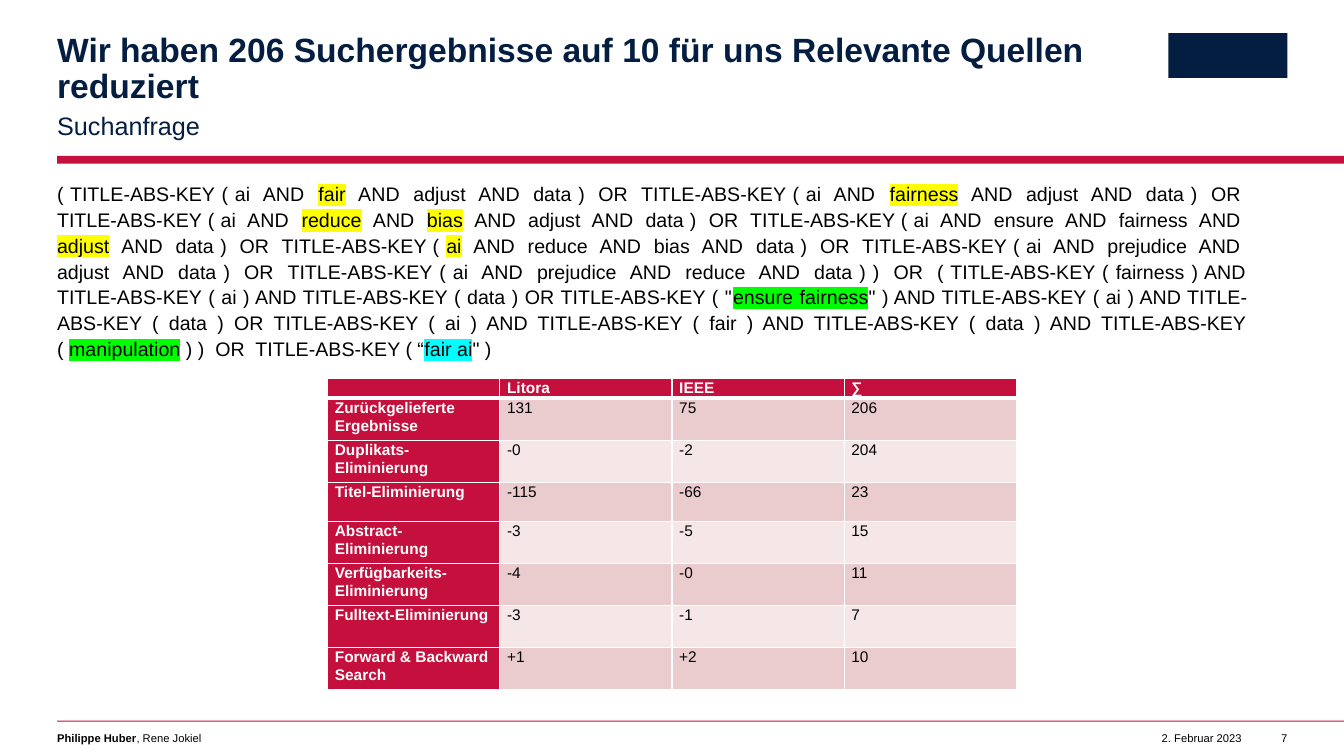
from lxml import etree
from pptx import Presentation
from pptx.dml.color import RGBColor
from pptx.enum import shapes, text
from pptx.oxml import ns
from pptx.util import Pt

RED, NAVY, BLACK, WHITE = "C50F3C", "041E42", "000000", "FFFFFF"
LIME, AQUA, GOLD = "00FF00", "00FFFF", "FFFF00"
BANDS = ["EACCCE", "F5E7E8"]
LEFT, RIGHT, WIDE = 40.8, 919.5, 754

QUERY = [
    ("( TITLE-ABS-KEY ( ai  AND  ", None),
    ("fair", GOLD),
    ("  AND  adjust  AND  data )  OR  TITLE-ABS-KEY ( ai  AND  ", None),
    ("fairness", GOLD),
    ("  AND  adjust  AND  data )  OR  TITLE-ABS-KEY ( ai  AND  ", None),
    ("reduce", GOLD),
    ("  AND  ", None),
    ("bias", GOLD),
    ("  AND  adjust  AND  data )  OR  TITLE-ABS-KEY ( ai  AND  ensure  AND  fairness  AND  ", None),
    ("adjust", GOLD),
    ("  AND  data )  OR  TITLE-ABS-KEY ( ", None),
    ("ai", GOLD),
    ("  AND  reduce  AND  bias  AND  data )  OR  TITLE-ABS-KEY ( ai  AND  prejudice  AND  "
     "adjust  AND  data )  OR  TITLE-ABS-KEY ( ai  AND  prejudice  AND  reduce  AND  data ) )  "
     "OR  ( TITLE-ABS-KEY ( fairness ) AND TITLE-ABS-KEY ( ai ) AND TITLE-ABS-KEY ( data ) "
     "OR TITLE-ABS-KEY ( \"", None),
    ("ensure fairness", LIME),
    ("\" ) AND TITLE-ABS-KEY ( ai ) AND TITLE-ABS-KEY ( data ) OR TITLE-ABS-KEY ( ai ) AND "
     "TITLE-ABS-KEY ( fair ) AND TITLE-ABS-KEY ( data ) AND TITLE-ABS-KEY ( ", None),
    ("manipulation", LIME),
    (" ) )  OR  TITLE-ABS-KEY ( “", None),
    ("fair ai", AQUA),
    ("\" )", None),
]

COUNTS = [
    ("", "Litora", "IEEE", "∑"),
    ("Zurückgelieferte Ergebnisse", "131", "75", "206"),
    ("Duplikats-Eliminierung", "-0", "-2", "204"),
    ("Titel-Eliminierung", "-115", "-66", "23"),
    ("Abstract-Eliminierung", "-3", "-5", "15"),
    ("Verfügbarkeits-Eliminierung", "-4", "-0", "11"),
    ("Fulltext-Eliminierung", "-3", "-1", "7"),
    ("Forward & Backward Search", "+1", "+2", "10"),
]
ROWS = [14.4, 30, 30, 28] + [30] * 4


def color(code):
    return RGBColor.from_string(code)


def style(para, size, code, bold=None):
    font = para.font
    font.name, font.size, font.bold = "Arial", Pt(size), bold
    font.color.rgb = color(code)


def label(slide, words, box, size, code=BLACK, bold=None, inset=0, middle=False):
    frame = slide.shapes.add_textbox(*map(Pt, box)).text_frame
    frame.word_wrap = True
    frame.margin_left = frame.margin_top = frame.margin_bottom = 0
    frame.margin_right = Pt(inset)
    if middle:
        frame.vertical_anchor = text.MSO_ANCHOR.MIDDLE
    para = frame.paragraphs[0]
    style(para, size, code, bold)
    if words:
        para.add_run().text = words
    return para


def bar(slide, box, code):
    shape = slide.shapes.add_shape(shapes.MSO_SHAPE.RECTANGLE, *map(Pt, box))
    shape.shadow.inherit = False
    shape.fill.solid()
    shape.fill.fore_color.rgb = color(code)
    shape.line.fill.background()


def mark(run, code):
    tag = etree.SubElement(run.font._element, ns.qn("a:highlight"))
    etree.SubElement(tag, ns.qn("a:srgbClr"), val=code)


def header(slide, left, top):
    title = label(slide, "Wir haben 206 Suchergebnisse auf 10 für uns Relevante Quellen reduziert",
                  (left, top, WIDE, 52.5), 24, NAVY, True, middle=True)
    title.line_spacing = 0.9
    sub = label(slide, "Suchanfrage", (left, top + 54, WIDE, 22.3), 18, NAVY,
                inset=28, middle=True)
    sub.line_spacing = 1.1
    bar(slide, (RIGHT - 85, top, 85, 32), NAVY)
    bar(slide, (left, top + 87.7, 960 - left, 5.6), RED)


def query(slide, box):
    para = label(slide, "", box, 14, inset=28)
    para.alignment = text.PP_ALIGN.JUSTIFY
    para.line_spacing = 1.1
    for words, code in QUERY:
        run = para.add_run()
        run.text = words
        if code:
            mark(run, code)


def border(cell, sides):
    props = cell._tc.get_or_add_tcPr()
    for side, width in sides.items():
        line = etree.SubElement(props, ns.qn("a:ln" + side), w=str(Pt(width)))
        fill = etree.SubElement(line, ns.qn("a:solidFill"))
        etree.SubElement(fill, ns.qn("a:srgbClr"), val=WHITE)


def counts(slide, left, top, width):
    size = len(COUNTS), len(COUNTS[0])
    table = slide.shapes.add_table(*size, Pt(left), Pt(top), Pt(width), Pt(sum(ROWS))).table
    for col in table.columns:
        col.width = Pt(width / size[1])
    for i, row in enumerate(COUNTS):
        table.rows[i].height = Pt(ROWS[i])
        for j, words in enumerate(row):
            cell = table.cell(i, j)
            head = i == 0 or j == 0
            border(cell, {"L": 1, "R": 1, "T": 3 if i == 1 else 1, "B": 3 if i == 0 else 1})
            cell.fill.solid()
            cell.fill.fore_color.rgb = color(RED if head else BANDS[(i - 1) % 2])
            cell.margin_left = cell.margin_right = Pt(5.2)
            cell.margin_top = cell.margin_bottom = 0
            para = cell.text_frame.paragraphs[0]
            para.line_spacing = 1.07
            style(para, 11, WHITE if head else BLACK, head)
            if words:
                para.add_run().text = words
            else:
                etree.SubElement(para._p, ns.qn("a:endParaRPr"), sz="1100")


def footer(slide, left, top):
    bar(slide, (left, top, 960 - left, 0.75), RED)
    line = top + 7.6
    names = label(slide, "Philippe Huber", (left, line, WIDE, 9.4), 8)
    names.runs[0].font.bold = True
    names.add_run().text = ", Rene Jokiel"
    for words, end, width in [("2. Februar 2023", 887, 67), ("7", RIGHT, 15)]:
        para = label(slide, words, (end - width, line, width, 9.4), 8)
        para.alignment = text.PP_ALIGN.RIGHT


def main():
    deck = Presentation()
    deck.slide_width, deck.slide_height = Pt(960), Pt(540)
    slide = deck.slides.add_slide(deck.slide_layouts[6])
    header(slide, LEFT, 23.6)
    query(slide, (LEFT, 128.2, 878.5, 360))
    counts(slide, 234, 270, 492)
    footer(slide, LEFT, 514.8)
    deck.save("out.pptx")


if __name__ == "__main__":
    main()
